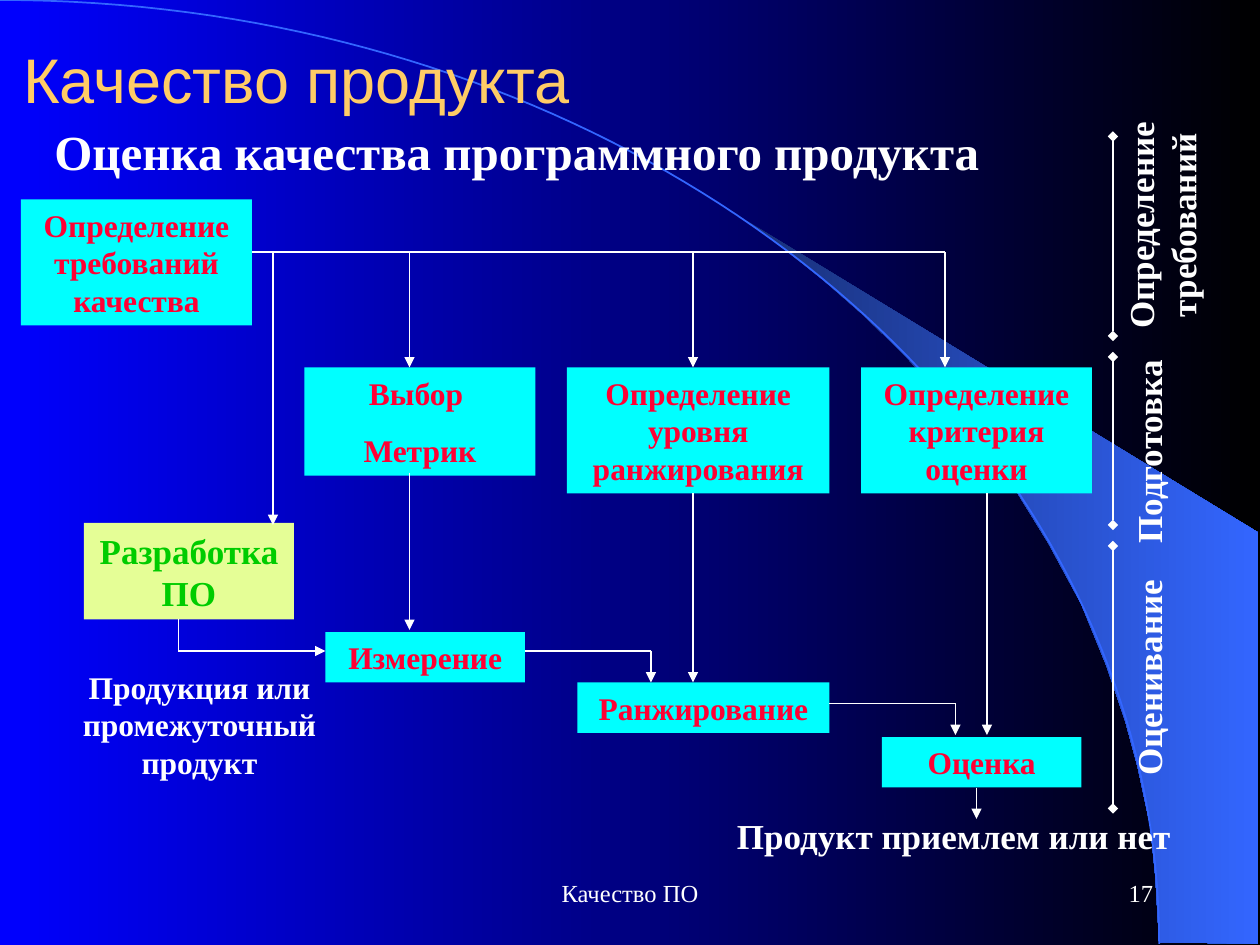
from lxml import etree
from pptx import Presentation
from pptx import util as u
from pptx.dml.color import RGBColor
from pptx.enum import shapes, text
from pptx.oxml.ns import qn

COLORS = {
    "blue": "0000FF", "black": "000000", "navy": "182F76", "arc": "3366FF",
    "title": "FFCC66", "white": "FFFFFF", "cyan": "00FFFF", "red": "FF0033",
    "lime": "E5FE96", "green": "00CC00",
}
SERIF = "Times New Roman"
LEFT, CENTER, RIGHT = (text.PP_ALIGN.LEFT, text.PP_ALIGN.CENTER,
                       text.PP_ALIGN.RIGHT)
TOP, MIDDLE = text.MSO_ANCHOR.TOP, text.MSO_ANCHOR.MIDDLE

# Lower edge of the light beam, in inches
BEAM = [(9.2, 7.48), (9.99, 7.49), (9.99, 4.23), (5.89, 1.73), (6.24, 1.99),
        (6.53, 2.22), (6.85, 2.5), (7.16, 2.8), (7.62, 3.3), (8.03, 3.84),
        (8.32, 4.31), (8.58, 4.79), (8.78, 5.28), (8.93, 5.72), (9.03, 6.09),
        (9.13, 6.56), (9.17, 6.96)]

# Process steps: text, (column, row, columns, rows)
STEPS = [
    ("Определение требований качества", (2, 19, 22, 12)),
    ("Выбор \nМетрик", (29, 35, 22, 10.3)),
    ("Определение уровня ранжирования", (54, 35, 25, 12)),
    ("Определение критерия оценки", (82, 35, 22, 12)),
    ("Измерение", (31, 60.2, 19, 4.8)),
    ("Ранжирование", (55, 65, 24, 4.8)),
    ("Оценка", (84, 70.2, 19, 4.8)),
]

# Arrow routes as (column, row) points; the head is on the last leg
ROUTES = [
    *[[(col, 24), (col, row)] for col, row in
      ((39, 35), (66, 35), (90, 35), (26, 50))],
    [(17, 59), (17, 62), (31, 62)],
    [(50, 62), (62, 62), (62, 65)],
    [(79, 67), (91, 67), (91, 70)],
    [(39, 45), (39, 60)],
    [(66, 47), (66, 65)],
    [(94, 47), (94, 70)],
    [(93, 75), (93, 78)],
]

# Phases: text, text box, first and last row of the span line
PHASES = [
    ("Определение требований", (99.7, 16.3, 22.9, 10.3), (32, 13), CENTER),
    ("Подготовка", (98.9, 39.8, 21, 5.3), (50, 34), LEFT),
    ("Оценивание", (97.4, 60.4, 24, 5.3), (77, 52), LEFT),
]


def rgb(name):
    return RGBColor.from_string(COLORS[name])


def grid(*cells):
    """Grid of 120 columns by 90 rows, 1/12 inch each."""
    return [u.Inches(c / 12) for c in cells]


def gradient(fill, start, end):
    fill.gradient()
    fill.gradient_angle = 0
    for stop, name, pos in zip(fill.gradient_stops, (start, end), (0, 1)):
        stop.color.rgb = rgb(name)
        stop.position = pos


def write(sp, words, size, color="white", bold=True, align=CENTER,
          anchor=TOP, font=SERIF):
    tf = sp.text_frame
    tf.word_wrap = True
    tf.vertical_anchor = anchor
    tf.text = words
    for i, p in enumerate(tf.paragraphs):
        p.alignment = align
        p.space_before = u.Pt(11.2 if i else 0)
        p.font.size, p.font.bold, p.font.name = u.Pt(size), bold, font
        p.font.color.rgb = rgb(color)


def label(slide, words, cells, size, rotation=0, **style):
    sp = slide.shapes.add_textbox(*grid(*cells))
    sp.rotation = rotation
    write(sp, words, size, **style)


def box(slide, words, cells, size=18, fill="cyan", color="red"):
    sp = slide.shapes.add_shape(shapes.MSO_SHAPE.RECTANGLE, *grid(*cells))
    sp.shadow.inherit = False
    sp.fill.solid()
    sp.fill.fore_color.rgb = rgb(fill)
    sp.line.fill.background()
    write(sp, words, size, color)


def line(slide, start, end, head=None, tail=None):
    cxn = slide.shapes.add_connector(shapes.MSO_CONNECTOR.STRAIGHT,
                                     *grid(*start, *end))
    cxn.line.width = u.Pt(0.75)
    cxn.line.color.rgb = rgb("white")
    ln = cxn.line._get_or_add_ln()
    for tag, kind in (("a:headEnd", head), ("a:tailEnd", tail)):
        if kind:
            etree.SubElement(ln, qn(tag), type=kind)
    etree.SubElement(ln.getparent(), qn("a:effectLst"))


def route(slide, points):
    for i in range(1, len(points)):
        tail = "triangle" if i == len(points) - 1 else None
        line(slide, points[i - 1], points[i], tail=tail)


def outline(slide, points, close):
    pts = [(u.Inches(x), u.Inches(y)) for x, y in points]
    builder = slide.shapes.build_freeform(*pts[0])
    builder.add_line_segments(pts[1:], close=close)
    sp = builder.convert_to_shape()
    sp.shadow.inherit = False
    return sp


def arc_point(t):
    """Point on the cubic curve (0, 0) (5.08, 0) (9.2, 3.35) (9.2, 7.49)."""
    b, c, d = 3 * t * (1 - t) ** 2, 3 * t * t * (1 - t), t ** 3
    return 5.08 * b + 9.2 * (c + d), 3.35 * c + 7.49 * d


def backdrop(slide):
    gradient(slide.background.fill, "blue", "black")
    beam = outline(slide, BEAM, True)
    gradient(beam.fill, "navy", "arc")
    beam.line.fill.background()
    arc = outline(slide, [arc_point(i / 80) for i in range(81)], False)
    arc.fill.background()
    arc.line.color.rgb = rgb("arc")
    arc.line.width = u.Pt(1)


def main():
    prs = Presentation()
    prs.slide_width, prs.slide_height = u.Inches(10), u.Inches(7.5)
    slide = prs.slides.add_slide(prs.slide_layouts[5])
    backdrop(slide)

    # Headings, with the title in front of the backdrop
    title = slide.shapes.title
    title.element.getparent().append(title.element)
    title.left, title.top, title.width, title.height = grid(1, 0, 102, 15)
    write(title, "Качество продукта", 36, "title", False, LEFT, MIDDLE, "Arial")
    label(slide, "Оценка качества программного продукта", (4, 11, 99, 6.9), 28,
          align=LEFT)

    # Process diagram
    for words, cells in STEPS:
        box(slide, words, cells)
    box(slide, "Разработка ПО", (8, 49.8, 20, 9.2), 20, "lime", "green")
    line(slide, (24, 24), (90, 24))
    for points in ROUTES:
        route(slide, points)
    label(slide, "Продукция или промежуточный продукт", (6, 63, 26, 12), 18)
    label(slide, "Продукт приемлем или нет", (69, 77, 45, 5.3), 20, align=LEFT)

    # Phases on the right
    for words, cells, (first, last), align in PHASES:
        line(slide, (106, first), (106, last), "diamond", "diamond")
        label(slide, words, cells, 20, rotation=270, align=align)

    # Footer
    label(slide, "Качество ПО", (41, 82, 38, 6), 14, bold=False, anchor=MIDDLE)
    label(slide, "17", (86, 82, 25, 6), 14, bold=False, align=RIGHT,
          anchor=MIDDLE)
    prs.save("out.pptx")


if __name__ == "__main__":
    main()
